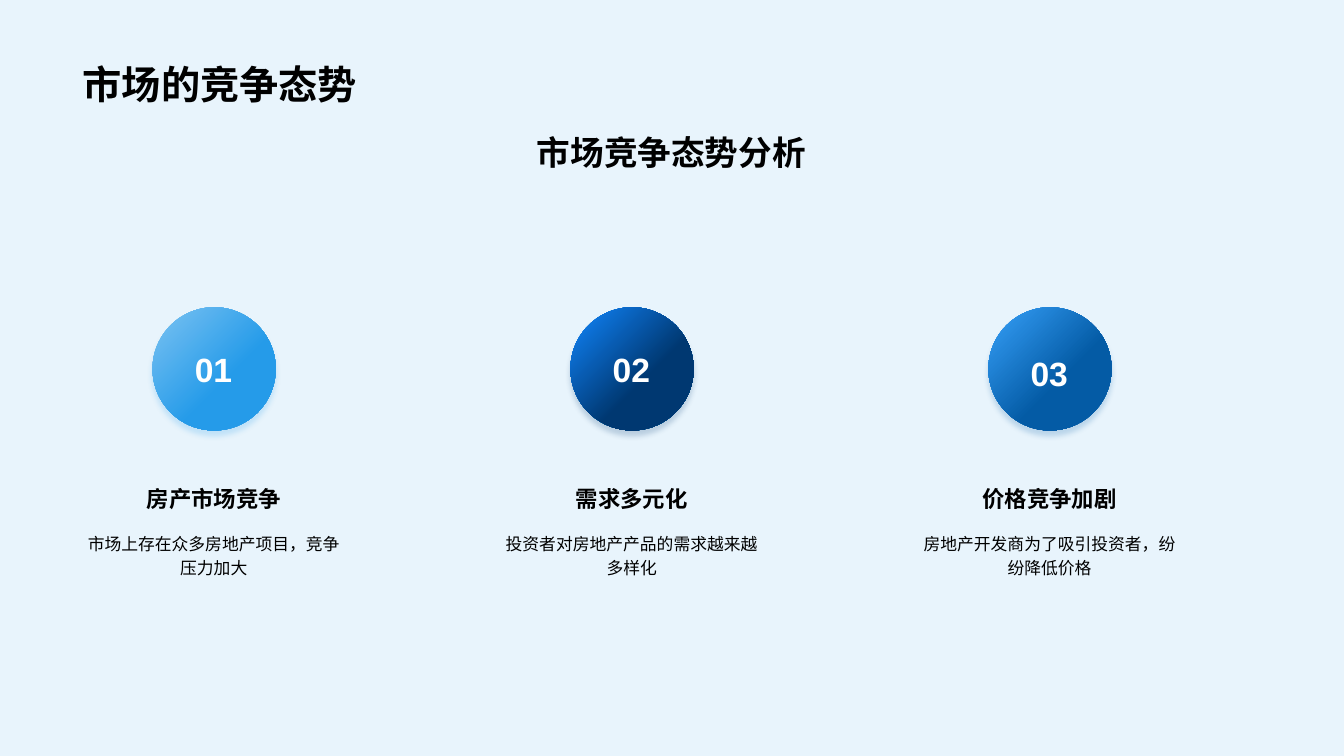
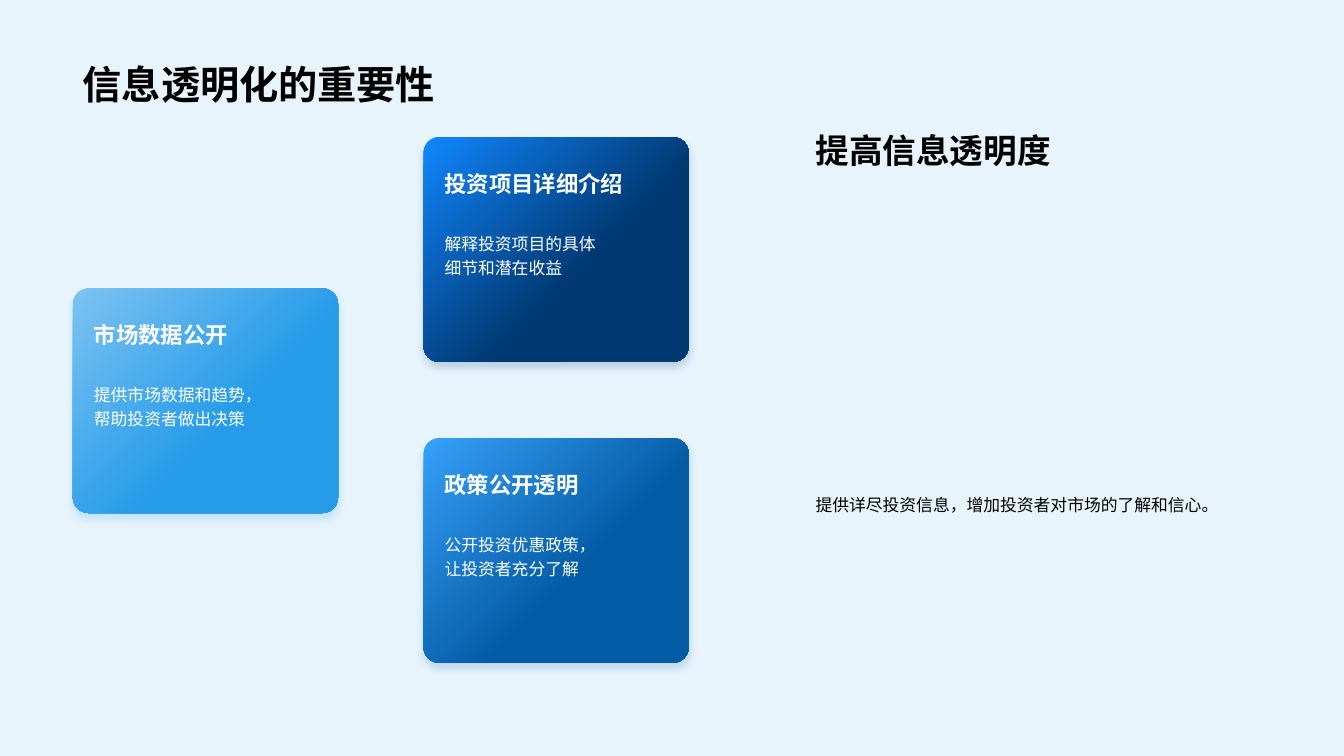
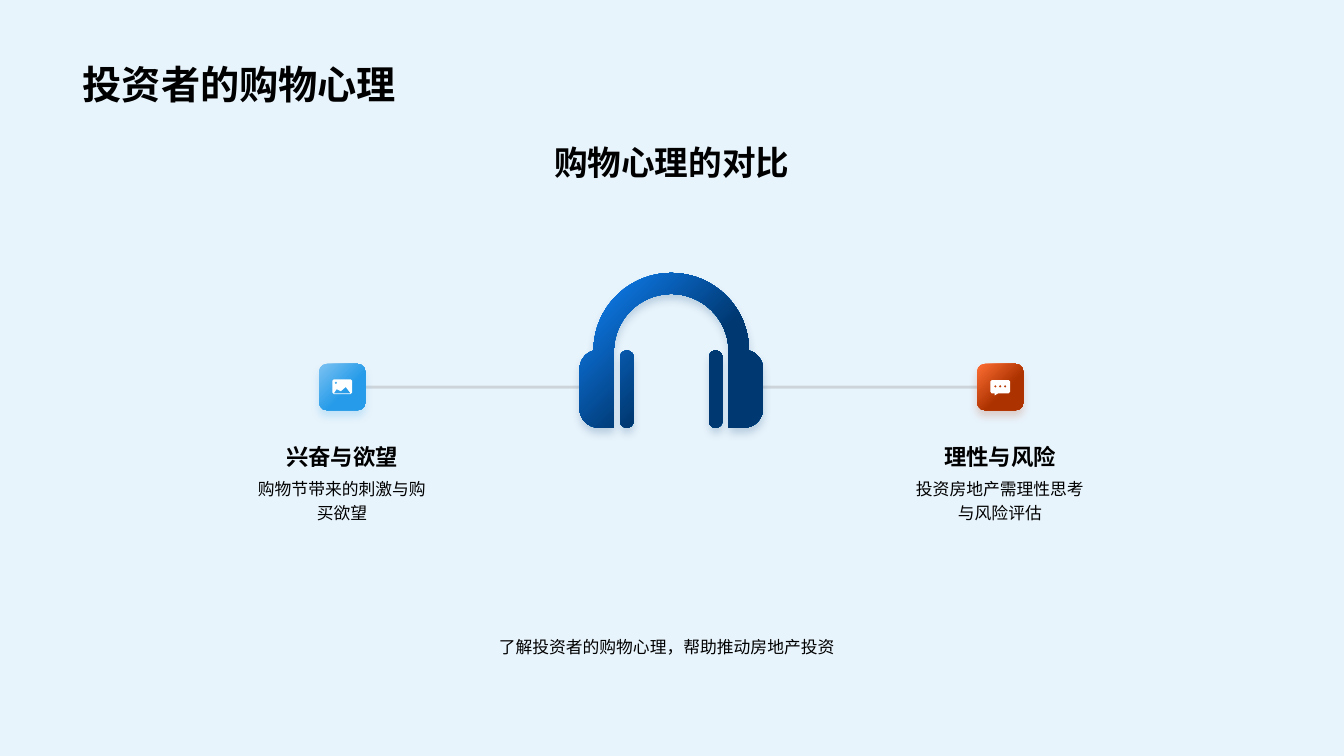
from math import cos, radians, sin, tan

from lxml import etree
from pptx import Presentation
from pptx.dml.color import RGBColor
from pptx.enum.lang import MSO_LANGUAGE_ID
from pptx.enum.shapes import MSO_CONNECTOR, MSO_SHAPE
from pptx.enum.text import MSO_ANCHOR, PP_ALIGN
from pptx.oxml.ns import qn
from pptx.util import Pt

SLIDE_WIDTH, SLIDE_HEIGHT = 1920, 1080
EMU_PER_PX = 6350
FONT = "Arial"
TITLE_SIZE, SUBTITLE_SIZE, HEADING_SIZE, BODY_SIZE = 28, 24, 16, 12

BLACK = RGBColor(0x00, 0x00, 0x00)
WHITE = RGBColor(0xFF, 0xFF, 0xFF)
GREY = RGBColor(0x80, 0x80, 0x80)
# Each pair is the start and the end of a gradient.
SKY = RGBColor(0x7C, 0xC3, 0xF2), RGBColor(0x25, 0x9B, 0xE9)
NAVY = RGBColor(0x11, 0x87, 0xFF), RGBColor(0x00, 0x38, 0x71)
BLUE = RGBColor(0x37, 0xA1, 0xFA), RGBColor(0x04, 0x5B, 0xA5)
ORANGE = RGBColor(0xFF, 0x6F, 0x34), RGBColor(0xAC, 0x32, 0x00)

LEFT, CENTER = PP_ALIGN.LEFT, PP_ALIGN.CENTER
TOP, MIDDLE, BOTTOM = MSO_ANCHOR.TOP, MSO_ANCHOR.MIDDLE, MSO_ANCHOR.BOTTOM
OVAL, ROUNDED = MSO_SHAPE.OVAL, MSO_SHAPE.ROUNDED_RECTANGLE
RECTANGLE = MSO_SHAPE.RECTANGLE
STRAIGHT = MSO_CONNECTOR.STRAIGHT
CHINESE = MSO_LANGUAGE_ID.SIMPLIFIED_CHINESE


def px(length):
    return round(length * EMU_PER_PX)


def write(paragraph, text, size, color, bold, align):
    paragraph.alignment = align
    run = paragraph.add_run()
    run.text = text
    font = run.font
    font.name, font.size, font.bold = FONT, Pt(size), bold
    font.color.rgb = color
    font.language_id = CHINESE
    etree.SubElement(run._r.get_or_add_rPr(), qn("a:ea"), typeface=FONT)


def add_text(slide, box, text, size, color=BLACK, bold=True, align=CENTER,
             anchor=TOP, wrap=True, spacing=None):
    frame = slide.shapes.add_textbox(*map(px, box)).text_frame
    frame.word_wrap = wrap
    frame.vertical_anchor = anchor
    paragraph = frame.paragraphs[0]
    paragraph.line_spacing = spacing
    write(paragraph, text, size, color, bold, align)


def add_heading(slide, box, text, color=BLACK, align=CENTER):
    add_text(slide, box, text, HEADING_SIZE, color, align=align, anchor=BOTTOM)


def add_body(slide, box, text, color=BLACK, align=CENTER):
    add_text(slide, box, text, BODY_SIZE, color, bold=False, align=align, spacing=1.2)


def fill_plain(shape, color):
    shape.fill.solid()
    shape.fill.fore_color.rgb = color
    shape.line.fill.background()
    shape.shadow.inherit = False


def set_opacity(shape, percent):
    """Opacity of the first plain colour of the shape, its fill or its line."""
    color = next(shape._element.spPr.iter(qn("a:srgbClr")))
    etree.SubElement(color, qn("a:alpha"), val=str(percent * 1000))


def paint(shape, colors, blur):
    """Give the shape a diagonal gradient and a soft shadow in its end colour."""
    shape.line.fill.background()
    shape.fill.gradient()
    shape.fill.gradient_angle = 315
    for stop, color, position in zip(shape.fill.gradient_stops, colors, (0, 0.6)):
        stop.color.rgb = color
        stop.position = position
    shape.shadow.inherit = False
    effects = shape._element.spPr.find(qn("a:effectLst"))
    shadow = etree.SubElement(effects, qn("a:outerShdw"), blurRad=str(Pt(blur)),
                              dist=str(Pt(4)), dir="5400000", algn="t", rotWithShape="0")
    color = etree.SubElement(shadow, qn("a:srgbClr"), val=str(colors[1]))
    etree.SubElement(color, qn("a:alpha"), val="20000")


def add_gradient_shape(slide, kind, box, colors, blur=6, rounding=None):
    shape = slide.shapes.add_shape(kind, *map(px, box))
    if rounding is not None:
        shape.adjustments[0] = rounding
    paint(shape, colors, blur)


def add_line(slide, start_x, end_x, y):
    line = slide.shapes.add_connector(STRAIGHT, px(start_x), px(y), px(end_x), px(y))
    line.line.color.rgb = GREY
    line.line.width = Pt(2.25)
    set_opacity(line, 25)
    etree.SubElement(line._element.spPr, qn("a:effectLst"))


def corners(*points):
    """Straight segments, each a tuple that holds only its end point."""
    return [(point,) for point in points]


def arc(x, y, radius, start, end):
    """A line to the start, then Bezier segments; angles run clockwise."""
    count = -(-abs(end - start) // 90)
    step = radians((end - start) / count)
    handle = radius * 4 / 3 * tan(step / 4)
    angles = [radians(start) + step * i for i in range(count + 1)]
    points = [(x + radius * cos(a), y + radius * sin(a)) for a in angles]
    segments = corners(points[0])
    for i in range(count):
        (x1, y1), (x2, y2) = points[i:i + 2]
        a1, a2 = angles[i:i + 2]
        segments.append(((x1 - handle * sin(a1), y1 + handle * cos(a1)),
                         (x2 + handle * sin(a2), y2 - handle * cos(a2)), (x2, y2)))
    return segments


def rounded_outline(left, top, width, height, radius, bottom_points=()):
    """Rounded rectangle; bottom_points go between the lower corners."""
    west, east = left + radius, left + width - radius
    north, south = top + radius, top + height - radius
    return [*arc(west, north, radius, 180, 270), *arc(east, north, radius, 270, 360),
            *arc(east, south, radius, 0, 90), *corners(*bottom_points),
            *arc(west, south, radius, 90, 180)]


def add_outline(slide, contours):
    """One freeform of several contours, its lines bent into curves where given."""
    builder = None
    for contour in contours:
        ends = [tuple(map(px, segment[-1])) for segment in contour]
        if builder is None:
            builder = slide.shapes.build_freeform(*ends[0])
        else:
            builder.move_to(*ends[0])
        builder.add_line_segments(ends[1:], close=True)
    shape = builder.convert_to_shape()
    lines = list(shape._element.spPr.iter(qn("a:lnTo")))
    segments = [segment for contour in contours for segment in contour[1:]]
    for line, segment in zip(lines, segments):
        if len(segment) == 3:
            line.tag = qn("a:cubicBezTo")
            for index, (x, y) in enumerate(segment[:2]):
                point = etree.Element(qn("a:pt"), x=str(px(x) - shape.left),
                                      y=str(px(y) - shape.top))
                line.insert(index, point)
    return shape


def add_headphones(slide):
    frame = [*arc(959, 501, 111, 180, 360),
             *arc(1063, 527, 27, -75, 0), *arc(1063, 584, 27, 0, 90),
             *corners((1041, 611)),
             *arc(959, 502, 82, 0, -180), *corners((877, 611)),
             *arc(855, 584, 27, 90, 180), *arc(855, 527, 27, 180, 255)]
    pads = [rounded_outline(left, 501, 19, 110, 9) for left in (1013, 886)]
    paint(add_outline(slide, [*pads, frame]), NAVY, 6)


def add_photo_icon(slide):
    hills = corners((477, 562), (481, 556), (487, 559), (494, 553), (501, 562))
    fill_plain(add_outline(slide, [rounded_outline(475, 542, 28, 21, 2), hills,
                                   arc(480, 547, 2, 0, 360)]), WHITE)


def add_speech_icon(slide):
    tail = [(1426, 562), (1421, 565), (1421, 562)]
    dots = [arc(x, 552, 2, 0, 360) for x in (1422, 1429, 1436)]
    fill_plain(add_outline(slide, [rounded_outline(1415, 543, 28, 19, 2, tail), *dots]),
               WHITE)


def set_up_title(presentation):
    """Place the title of the shared layout and return the layout."""
    layout = presentation.slide_layouts.get_by_name("Title Only")
    title = layout.placeholders[0]
    title.left, title.top, title.width, title.height = map(px, (104, 0, 1711, 161))
    title.text_frame.vertical_anchor = BOTTOM
    return layout


def tint_master(presentation, slide):
    """Lay a pale tint over a white master; the slide only creates the shape."""
    master = presentation.slide_master
    master.background.fill.solid()
    master.background.fill.fore_color.rgb = WHITE
    tint = slide.shapes.add_shape(RECTANGLE, 0, 0, px(SLIDE_WIDTH), px(SLIDE_HEIGHT))
    fill_plain(tint, SKY[1])
    set_opacity(tint, 10)
    master.shapes._spTree.insert(2, tint._element)


def add_slide(presentation, layout, title):
    slide = presentation.slides.add_slide(layout)
    frame = slide.shapes.title.text_frame
    frame.vertical_anchor = BOTTOM
    write(frame.paragraphs[0], title, TITLE_SIZE, BLACK, True, LEFT)
    return slide


def build_competition(slide):
    add_text(slide, (105, 181, 1708, 72), "市场竞争态势分析", SUBTITLE_SIZE)
    columns = [
        ("01", 491, SKY, "房产市场竞争", "市场上存在众多房地产项目，竞争压力加大"),
        ("02", 491, NAVY, "需求多元化", "投资者对房地产产品的需求越来越多样化"),
        ("03", 497, BLUE, "价格竞争加剧", "房地产开发商为了吸引投资者，纷纷降低价格"),
    ]
    for index, (number, number_top, colors, heading, body) in enumerate(columns):
        left = 104 + 597 * index
        add_gradient_shape(slide, OVAL, (left + 114, 439, 176, 176), colors, blur=4)
        add_heading(slide, (left + 44, 681, 315, 58), heading)
        add_body(slide, (left, 749, 403, 81), body)
        add_text(slide, (left + 159, number_top, 84, 72), number, SUBTITLE_SIZE, WHITE,
                 anchor=BOTTOM, wrap=False)


def build_transparency(slide):
    cards = [
        (104, 412, SKY, "市场数据公开", "提供市场数据和趋势，帮助投资者做出决策"),
        (605, 196, NAVY, "投资项目详细介绍", "解释投资项目的具体细节和潜在收益"),
        (605, 626, BLUE, "政策公开透明", "公开投资优惠政策，让投资者充分了解"),
    ]
    for left, top, colors, heading, body in cards:
        add_gradient_shape(slide, ROUNDED, (left, top, 379, 321), colors, rounding=0.07)
        add_body(slide, (left + 16, top + 125, 262, 81), body, WHITE, LEFT)
        add_heading(slide, (left + 16, top + 39, 333, 53), heading, WHITE, LEFT)
    add_text(slide, (1151, 179, 505, 72), "提高信息透明度", SUBTITLE_SIZE, align=LEFT)
    add_body(slide, (1151, 694, 621, 46), "提供详尽投资信息，增加投资者对市场的了解和信心。",
             align=LEFT)


def build_psychology(slide):
    add_line(slide, 1089, 1462, 553)
    add_line(slide, 857, 485, 553)
    add_headphones(slide)
    sides = [
        (1429, ORANGE, add_speech_icon, "理性与风险", "投资房地产需理性思考与风险评估"),
        (489, SKY, add_photo_icon, "兴奋与欲望", "购物节带来的刺激与购买欲望"),
    ]
    for center, colors, add_icon, heading, body in sides:
        add_gradient_shape(slide, ROUNDED, (center - 33, 520, 66, 66), colors)
        add_icon(slide)
        add_body(slide, (center - 143, 671, 285, 82), body)
        add_heading(slide, (center - 143, 626, 285, 53), heading)
    add_body(slide, (452, 897, 1001, 46), "了解投资者的购物心理，帮助推动房地产投资")
    add_text(slide, (297, 196, 1325, 72), "购物心理的对比", SUBTITLE_SIZE, anchor=MIDDLE)


def main():
    presentation = Presentation()
    presentation.slide_width = px(SLIDE_WIDTH)
    presentation.slide_height = px(SLIDE_HEIGHT)
    layout = set_up_title(presentation)
    competition = add_slide(presentation, layout, "市场的竞争态势")
    tint_master(presentation, competition)
    build_competition(competition)
    build_transparency(add_slide(presentation, layout, "信息透明化的重要性"))
    build_psychology(add_slide(presentation, layout, "投资者的购物心理"))
    presentation.save("out.pptx")


if __name__ == "__main__":
    main()
